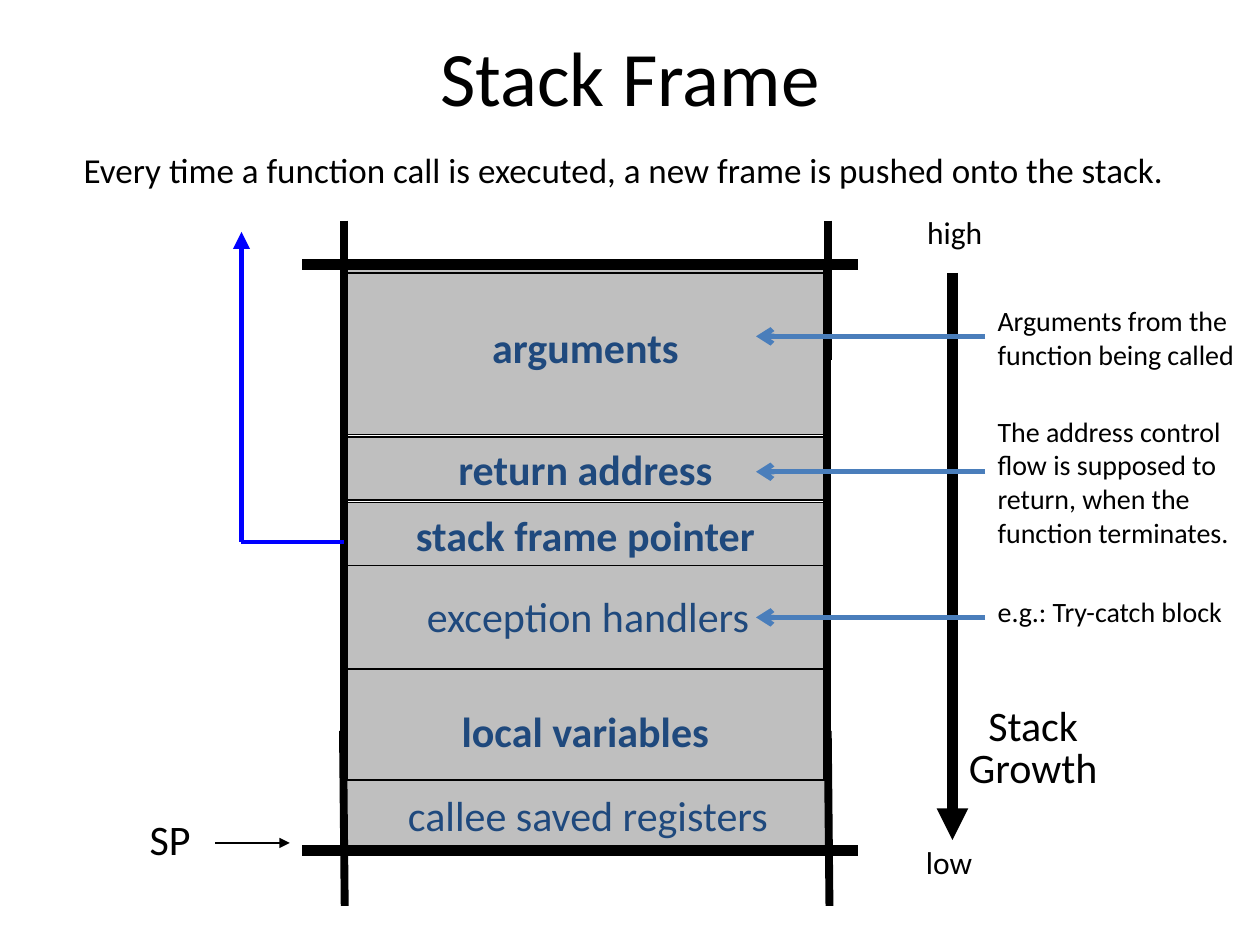
from lxml import etree
from pptx import Presentation
from pptx.dml.color import RGBColor
from pptx.enum.shapes import MSO_CONNECTOR, MSO_SHAPE
from pptx.enum.text import MSO_ANCHOR, MSO_AUTO_SIZE, PP_ALIGN
from pptx.oxml.ns import qn
from pptx.util import Pt

LEFT, MID = PP_ALIGN.LEFT, PP_ALIGN.CENTER
TOP, CENTRE = MSO_ANCHOR.TOP, MSO_ANCHOR.MIDDLE
RECT, LINE = MSO_SHAPE.RECTANGLE, MSO_CONNECTOR.STRAIGHT
GROW, FIXED = MSO_AUTO_SIZE.SHAPE_TO_FIT_TEXT, MSO_AUTO_SIZE.NONE

THEME = {
    "font": "Calibri",
    "ink": "000000", "cell": "BFBFBF", "name": "1F497D",
    "link": "0000FF", "note": "4A7EBB",
    "title": 44, "part": 24, "lead": 20, "mark": 18, "small": 16,
}

TITLE = "Stack Frame"
LEAD = "Every time a function call is executed, a new frame is pushed onto the stack."

# Stack parts: text, left, top, height, bold
X1, X2 = 196.5, 472.5
WIDE = X2 - X1
PARTS = [
    ("exception handlers", 198, 322, 60, False),
    ("arguments", X1, 148.3, 100, True),
    ("return address", X1, 249.8, 36, True),
    ("stack frame pointer", X1, 287.3, 36, True),
    ("local variables", X1, 382.3, 70.5, True),
]
LAST = ("callee saved registers", 198, 445.7, 40.3, False)

# Labels: lines, box, size, alignment, wrap
LABELS = [
    (["SP"], (75.2, 461.5, 44, 36), "part", MID, False),
    (["Stack", "Growth"], (546.5, 396, 87.8, 57), "part", MID, False),
    (["high"], (522.7, 118.1, 46, 29), "mark", LEFT, False),
    (["low"], (522, 478.1, 41, 29), "mark", LEFT, False),
    ([LEAD], (35.3, 81.4, 642.2, 31.5), "lead", MID, True),
]

# Notes: text, top, height, arrow height
NOTES = [
    ("Arguments from the \nfunction being called", 169.9, 46, 192.2),
    ("The address control flow is supposed to return, when the "
     "function terminates.", 233.3, 84.2, 269.6),
    ("e.g.: Try-catch block", 336.2, 26.6, 352.8),
]
NOTE_X, NOTE_W, TIP_X = 563, 171.4, 432

# Lines: start, end, colour, width, arrowhead
BAR = (172.8, 490.3)
INNER = [
    ((123, 481.7), (165.6, 481.7), "ink", 0.75, "triangle"),
    ((544.3, 156), (544.3, 480), "ink", 6, "triangle"),
    ((X1, 156), (X2, 156), "ink", 0.75, None),
    ((BAR[0], 151.2), (BAR[1], 151.2), "ink", 6, None),
    ((X1, 309.6), (138, 309.6), "link", 2.25, None),
    ((138, 309.6), (138, 132.5), "link", 3.25, "triangle"),
    ((X1, 126), (X1, 206), "ink", 4.5, None),
    ((473, 126), (473, 206), "ink", 4.5, None),
]
OUTER = [
    ((BAR[0], 486), (BAR[1], 486), "ink", 6, None),
    ((473, 417.6), (474, 517.7), "ink", 4.5, None),
    ((196, 417.6), (197, 517.7), "ink", 4.5, None),
]


def tone(name):
    return RGBColor.from_string(THEME[name])


def write(frame, lines, size="part", color="ink", bold=False, align=MID,
          anchor=TOP, wrap=False, fit=FIXED, pitch=None):
    frame.word_wrap = wrap
    frame.auto_size = fit
    frame.vertical_anchor = anchor
    for i, text in enumerate(lines):
        para = frame.add_paragraph() if i else frame.paragraphs[0]
        para.text = text
        para.alignment = align
        if i and pitch:
            para.line_spacing = pitch
        for run in para.runs:
            font = run.font
            font.name, font.size, font.bold = THEME["font"], Pt(THEME[size]), bold
            font.color.rgb = tone(color)


def block(x, y, w, h, fill=None, width=0.75):
    shape = slide.shapes.add_shape(RECT, Pt(x), Pt(y), Pt(w), Pt(h))
    shape.shadow.inherit = False
    if fill:
        shape.fill.solid()
        shape.fill.fore_color.rgb = tone(fill)
    else:
        shape.fill.background()
    shape.line.color.rgb = tone("ink")
    shape.line.width = Pt(width)
    return shape


def part(text, x, y, h, bold):
    shape = block(x, y, WIDE, h, "cell")
    write(shape.text_frame, [text], color="name", bold=bold, anchor=CENTRE)


def rule(start, end, color, width, head):
    line = slide.shapes.add_connector(LINE, *map(Pt, start + end))
    line.line.color.rgb = tone(color)
    line.line.width = Pt(width)
    props = line._element.spPr
    if head:
        etree.SubElement(props.find(qn("a:ln")), qn("a:tailEnd"), type=head)
    etree.SubElement(props, qn("a:effectLst"))


def label(lines, box, size, align, wrap):
    shape = slide.shapes.add_textbox(*map(Pt, box))
    write(shape.text_frame, lines, size=size, align=align, wrap=wrap,
          fit=GROW, pitch=0.84)


deck = Presentation()
deck.slide_width, deck.slide_height = Pt(720), Pt(540)
slide = deck.slides.add_slide(deck.slide_layouts[5])

# Title
head = slide.shapes.title
head.left, head.top, head.width, head.height = map(Pt, (36, -2, 648, 90))
write(head.text_frame, [TITLE], size="title", anchor=CENTRE, wrap=True)

# Stack with its frame
for item in PARTS:
    part(*item)
block(X1, 152, WIDE, 302.4, width=4.5)
for item in INNER:
    rule(*item)
part(*LAST)
for item in OUTER:
    rule(*item)

# Labels, then notes with their arrows
for item in LABELS:
    label(*item)
for text, y, h, tip in NOTES:
    label([text], (NOTE_X, y, NOTE_W, h), "small", LEFT, True)
    rule((NOTE_X, tip), (TIP_X, tip), "note", 3, "arrow")

deck.save("out.pptx")
